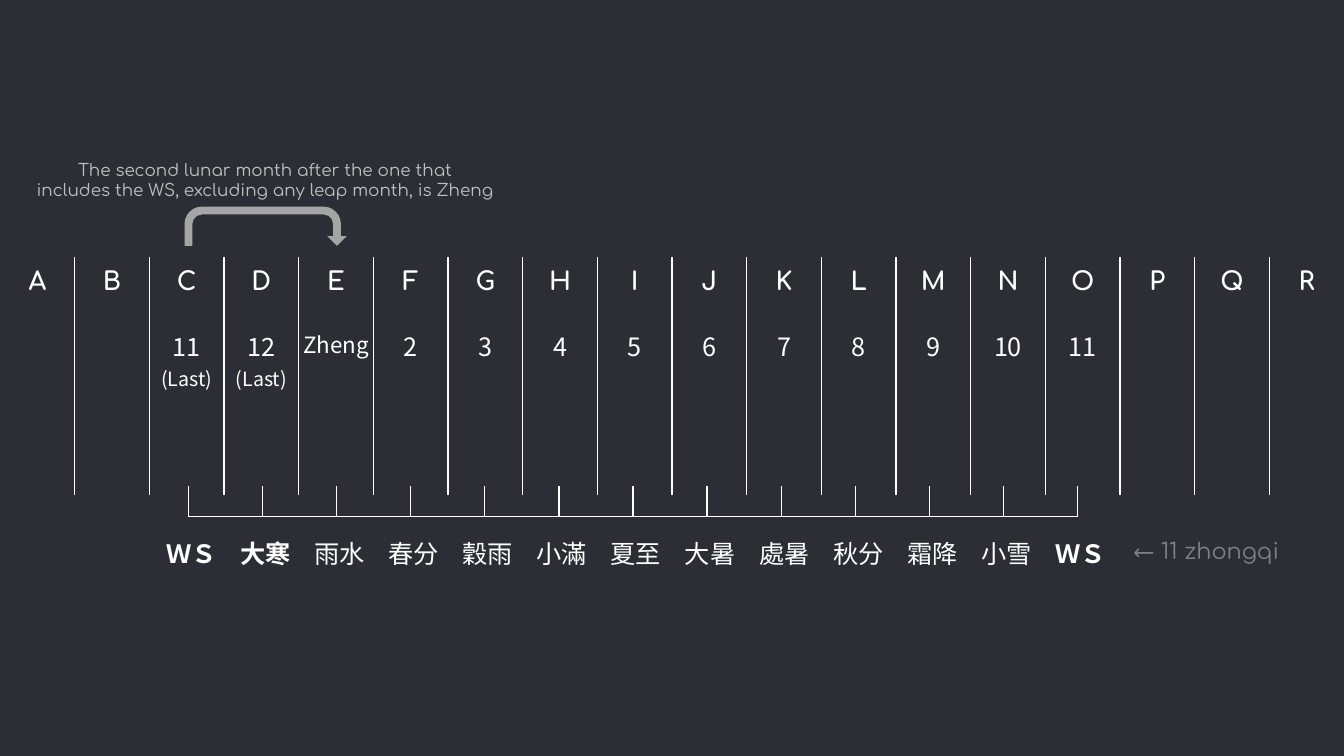
import dataclasses
import typing

import lxml.etree
import pptx
import pptx.dml.color
import pptx.enum.shapes
import pptx.enum.text
import pptx.oxml.ns
import pptx.util

Inches = pptx.util.Inches
Pt = pptx.util.Pt
qn = pptx.oxml.ns.qn
ANCHOR = pptx.enum.text.MSO_ANCHOR
CENTER = pptx.enum.text.PP_ALIGN.CENTER

COLORS = {
    "background": "2D2E35",
    "white": "FFFFFF",
    "arrow": "A5A5A5",
    "caption": "BFBFBF",
    "zhongqi": "808080",
}
ROUNDED = "Comfortaa"
CJK = "Noto Sans CJK SC"
NO_STYLE_NO_GRID = "{2D5ABB26-0587-4C30-8999-92F81FD0307C}"
SLIDE_WIDTH = 13.33


@dataclasses.dataclass
class Piece:
    text: str
    size: float = 18
    font: str = CJK
    bold: bool = False
    color: str = "white"


@dataclasses.dataclass
class Grid:
    left: float
    top: float
    width: float
    row_heights: list[float]
    columns: int


@dataclasses.dataclass
class Note:
    left: float
    top: float
    width: float
    height: float
    lines: list[str]
    size: float
    color: str
    anchor: pptx.enum.text.MSO_ANCHOR
    wrap: bool


LETTERS = "ABCDEFGHIJKLMNOPQR"
MONTHS = {
    "C": [Piece("11 "), Piece("(Last)", 14)],
    "D": [Piece("12 "), Piece("(Last)", 14)],
    "E": [Piece("Zheng", 16)],
} | {letter: [Piece(str(number))] for number, letter in enumerate("FGHIJKLMNO", 2)}
TERMS = ["ＷＳ", "大寒", "雨水", "春分", "穀雨", "小滿", "夏至",
         "大暑", "處暑", "秋分", "霜降", "小雪", "ＷＳ"]
BOLD_TERMS = {"ＷＳ", "大寒"}

MONTH_GRID = Grid(0, 2.55, SLIDE_WIDTH, [0.5, 1.86], len(LETTERS))
BRACKET_GRID = Grid(1.87, 4.82, 8.82, [0.3], len(TERMS) - 1)
TERM_GRID = Grid(1.53, 5.14, 9.56, [0.69], len(TERMS))

NOTES = [
    Note(0.25, 1.53, 4.76, 0.5,
         ["The second lunar month after the one that",
          "includes the WS, excluding any leap month, is Zheng"],
         12, "caption", ANCHOR.MIDDLE, False),
    Note(11.08, 5.28, 1.77, 0.37, ["← 11 zhongqi"], 16, "zhongqi", ANCHOR.TOP, True),
]


def rgb(name: str) -> pptx.dml.color.RGBColor:
    return pptx.dml.color.RGBColor.from_string(COLORS[name])


def add_pieces(p: typing.Any, pieces: list[Piece]) -> None:
    p.alignment = CENTER
    for piece in pieces:
        r = p.add_run()
        r.text = piece.text
        r.font.size = Pt(piece.size)
        r.font.bold = piece.bold
        r.font.color.rgb = rgb(piece.color)
        r.font.name = piece.font
        lxml.etree.SubElement(r.font._element, qn("a:ea"), typeface=piece.font)


def add_grid(slide: typing.Any, grid: Grid) -> typing.Any:
    """Add a table without style, with equal columns."""
    rows = len(grid.row_heights)
    frame = slide.shapes.add_table(
        rows, grid.columns, Inches(grid.left), Inches(grid.top),
        Inches(grid.width), Inches(sum(grid.row_heights)))
    table = frame.table
    table.first_row = table.horz_banding = False
    table._tbl.tblPr.find(qn("a:tableStyleId")).text = NO_STYLE_NO_GRID
    for column in table.columns:
        column.width = Inches(grid.width / grid.columns)
    for row, height in zip(table.rows, grid.row_heights):
        row.height = Inches(height)
    return table


def finish_cell(cell: typing.Any, sides: str = "") -> None:
    """Draw white borders on the sides named by L, R, T, B and clear the fill."""
    tc_pr = cell._tc.get_or_add_tcPr()
    for side in sides:
        line = lxml.etree.SubElement(tc_pr, qn(f"a:ln{side}"), w=str(Pt(1)))
        fill = lxml.etree.SubElement(line, qn("a:solidFill"))
        lxml.etree.SubElement(fill, qn("a:srgbClr"), val=COLORS["white"])
    cell.fill.background()


def set_margins(cell: typing.Any, top: float = 0) -> None:
    cell.margin_left = cell.margin_right = cell.margin_bottom = 0
    cell.margin_top = Inches(top)


def add_months(slide: typing.Any) -> None:
    table = add_grid(slide, MONTH_GRID)
    last = len(LETTERS) - 1
    for i, letter in enumerate(LETTERS):
        sides = ("L" if i > 0 else "") + ("R" if i < last else "")
        head, month = table.cell(0, i), table.cell(1, i)
        head.vertical_anchor = ANCHOR.MIDDLE
        add_pieces(head.text_frame.paragraphs[0], [Piece(letter, font=ROUNDED, bold=True)])
        set_margins(month, 0.2)
        add_pieces(month.text_frame.paragraphs[0], MONTHS.get(letter, []))
        finish_cell(head, sides)
        finish_cell(month, sides)


def add_bracket(slide: typing.Any) -> None:
    """Draw the ticks and base line that join the months to the solar terms."""
    for cell in add_grid(slide, BRACKET_GRID).iter_cells():
        set_margins(cell)
        p = cell.text_frame.paragraphs[0]
        lxml.etree.SubElement(p._p, qn("a:endParaRPr"), sz="800")
        finish_cell(cell, "LRB")


def add_terms(slide: typing.Any) -> None:
    table = add_grid(slide, TERM_GRID)
    for cell, term in zip(table.iter_cells(), TERMS):
        cell.vertical_anchor = ANCHOR.MIDDLE
        cell._tc.get_or_add_tcPr().set("vert", "eaVert")
        add_pieces(cell.text_frame.paragraphs[0], [Piece(term, bold=term in BOLD_TERMS)])
        finish_cell(cell)


def add_arrow(slide: typing.Any) -> None:
    s = slide.shapes.add_shape(
        pptx.enum.shapes.MSO_SHAPE.U_TURN_ARROW,
        Inches(1.83), Inches(2.05), Inches(1.61), Inches(0.39))
    for i, value in enumerate([0.2, 0.25, 0.25, 0.44, 1]):
        s.adjustments[i] = value
    s.fill.solid()
    s.fill.fore_color.rgb = rgb("arrow")
    s.line.fill.background()
    s.shadow.inherit = False


def add_note(slide: typing.Any, note: Note) -> None:
    s = slide.shapes.add_textbox(
        Inches(note.left), Inches(note.top), Inches(note.width), Inches(note.height))
    tf = s.text_frame
    tf.word_wrap = note.wrap
    tf.auto_size = pptx.enum.text.MSO_AUTO_SIZE.SHAPE_TO_FIT_TEXT
    tf.vertical_anchor = note.anchor
    for i, line in enumerate(note.lines):
        p = tf.add_paragraph() if i else tf.paragraphs[0]
        add_pieces(p, [Piece(line, note.size, ROUNDED, color=note.color)])


def main() -> None:
    prs = pptx.Presentation()
    prs.slide_width, prs.slide_height = Inches(SLIDE_WIDTH), Inches(7.5)
    slide = prs.slides.add_slide(prs.slide_layouts.get_by_name("Blank"))
    slide.background.fill.solid()
    slide.background.fill.fore_color.rgb = rgb("background")
    add_months(slide)
    add_bracket(slide)
    add_terms(slide)
    add_arrow(slide)
    for note in NOTES:
        add_note(slide, note)
    prs.save("out.pptx")


if __name__ == "__main__":
    main()
